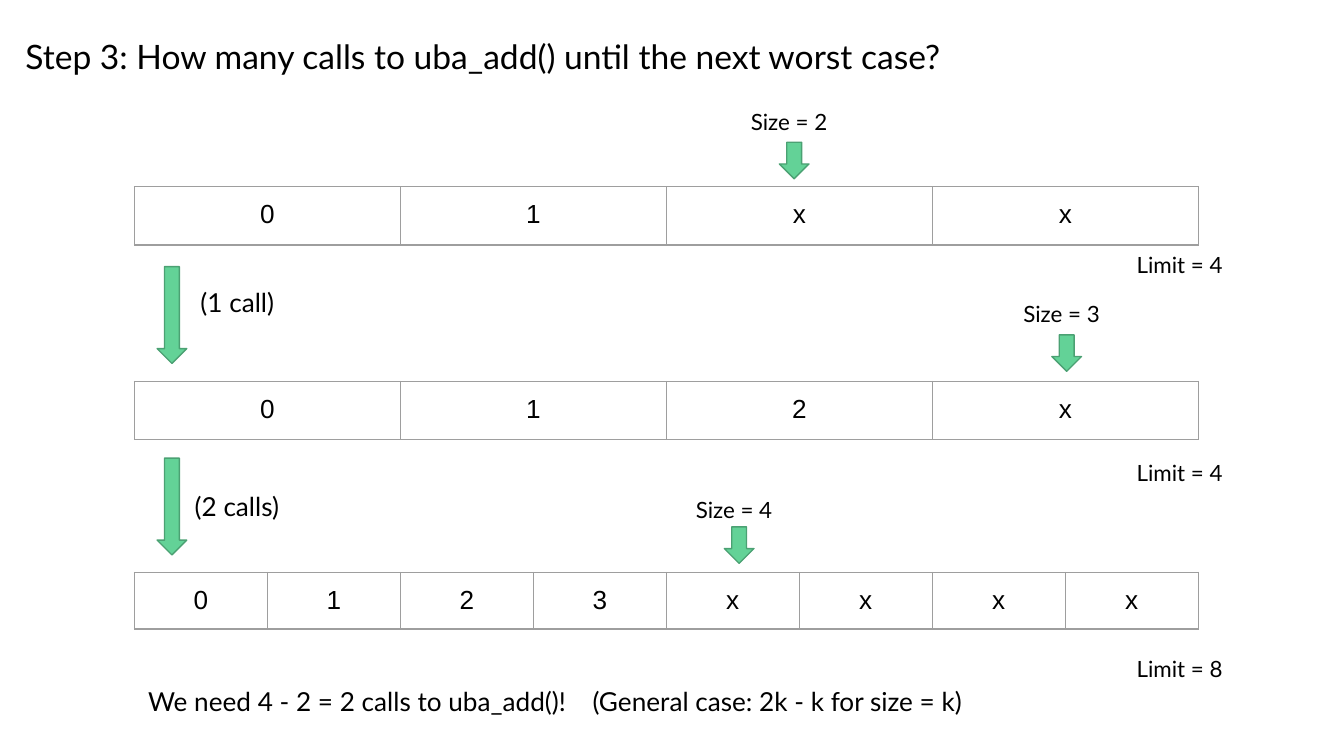
from dataclasses import dataclass

import lxml.etree
import pptx
import pptx.dml.color
import pptx.enum.shapes
import pptx.enum.text
import pptx.oxml.ns
import pptx.util
from pptx.util import Cm

COLORS = {
    "text": "000000",
    "cell_border": "9E9E9E",
    "arrow": "63D297",
    "arrow_edge": "4BA173",
    "background": "FFFFFF",
}
ARRAY_LEFT, ARRAY_WIDTH = 2.54, 20.11
FRAME_SIDE = 8.33
ARROW_WIDTH = 0.56
INSET = 0.25


@dataclass
class Array:
    """One state of the array; all lengths here and below are centimetres."""
    top: float
    height: float
    values: str
    limit: int
    limit_top: float


@dataclass
class SizePointer:
    size: int
    left: float
    top: float
    arrow_top: float


@dataclass
class Step:
    calls: str
    left: float
    top: float
    arrow_top: float


ARRAYS = [
    Array(3.53, 1.1, "01xx", 4, 4.5),
    Array(7.21, 1.1, "012x", 4, 8.43),
    Array(10.82, 1.07, "0123xxxx", 8, 12.13),
]
POINTERS = [
    SizePointer(2, 13.94, 1.79, 2.69),
    SizePointer(3, 19.09, 5.43, 6.33),
    SizePointer(4, 12.9, 9.12, 9.96),
]
STEPS = [
    Step("(1 call)", 3.54, 5.16, 5.04),
    Step("(2 calls)", 3.43, 9.02, 8.66),
]


def color(name: str) -> pptx.dml.color.RGBColor:
    return pptx.dml.color.RGBColor.from_string(COLORS[name])


def add_span(para, text: str, size: float, font: str = "Lato") -> None:
    span = para.add_run()
    span.text = text
    span.font.name = font
    span.font.size = pptx.util.Pt(size)
    span.font.color.rgb = color("text")


def set_frame(frame) -> None:
    frame.word_wrap = True
    frame.auto_size = pptx.enum.text.MSO_AUTO_SIZE.NONE
    frame.vertical_anchor = pptx.enum.text.MSO_ANCHOR.TOP
    frame.margin_left = frame.margin_right = Cm(INSET)
    frame.margin_top = frame.margin_bottom = Cm(INSET)


def add_label(page, text: str, left: float, top: float, width: float, size: float):
    box = page.shapes.add_textbox(Cm(left), Cm(top), Cm(width), Cm(1.1))
    set_frame(box.text_frame)
    para = box.text_frame.paragraphs[0]
    add_span(para, text, size)
    return para


def add_arrow(page, left: float, top: float, height: float) -> None:
    arrow = page.shapes.add_shape(
        pptx.enum.shapes.MSO_SHAPE.DOWN_ARROW,
        Cm(left), Cm(top), Cm(ARROW_WIDTH), Cm(height))
    arrow.shadow.inherit = False
    arrow.fill.solid()
    arrow.fill.fore_color.rgb = color("arrow")
    arrow.line.color.rgb = color("arrow_edge")
    arrow.line.width = pptx.util.Pt(0.75)


def add_borders(cell) -> None:
    qn = pptx.oxml.ns.qn
    properties = cell._tc.get_or_add_tcPr()
    for side in ("a:lnL", "a:lnR", "a:lnT", "a:lnB"):
        line = lxml.etree.SubElement(properties, qn(side), w=str(pptx.util.Pt(0.75)))
        fill = lxml.etree.SubElement(line, qn("a:solidFill"))
        lxml.etree.SubElement(fill, qn("a:srgbClr"), val=COLORS["cell_border"])


def add_array(page, array: Array) -> None:
    count = len(array.values)
    frame = page.shapes.add_table(
        1, count, Cm(ARRAY_LEFT), Cm(array.top), Cm(ARRAY_WIDTH), Cm(array.height))
    table = frame.table
    table.first_row = table.horz_banding = False
    table.rows[0].height = Cm(array.height)
    for column, cell, value in zip(table.columns, table.iter_cells(), array.values):
        column.width = Cm(ARRAY_WIDTH / count)
        cell.margin_left = cell.margin_right = Cm(INSET)
        cell.margin_top = cell.margin_bottom = Cm(INSET)
        add_borders(cell)
        cell.fill.background()
        para = cell.text_frame.paragraphs[0]
        para.alignment = pptx.enum.text.PP_ALIGN.CENTER
        add_span(para, value, 14, "Arial")
    frame.width = frame.height = Cm(FRAME_SIDE)
    add_label(page, f"Limit = {array.limit}", 21.23, array.limit_top, 2.2, 12)


def add_pointer(page, pointer: SizePointer) -> None:
    add_label(page, f"Size = {pointer.size}", pointer.left, pointer.top, 2.2, 12)
    add_arrow(page, pointer.left + 0.79, pointer.arrow_top, 0.69)


def add_step(page, step: Step) -> None:
    add_arrow(page, 2.97, step.arrow_top, 1.83)
    add_label(page, step.calls, step.left, step.top, 3.96, 14)


def add_title(page, text: str) -> None:
    title = page.shapes.title
    title.left, title.top, title.width, title.height = Cm(0.23), Cm(0.43), Cm(19.43), Cm(1.57)
    set_frame(title.text_frame)
    para = title.text_frame.paragraphs[0]
    para.alignment = pptx.enum.text.PP_ALIGN.LEFT
    add_span(para, text, 18)


def add_conclusion(page) -> None:
    """Set the answer and the general case on one line, parted by a tab stop."""
    para = add_label(page, "We need 4 - 2 = 2 calls to uba_add()!", 2.55, 12.7, 16.54, 14)
    add_span(para, "\t(General case: 2k - k for size = k)", 14)
    qn = pptx.oxml.ns.qn
    stops = lxml.etree.SubElement(para._p.get_or_add_pPr(), qn("a:tabLst"))
    lxml.etree.SubElement(stops, qn("a:tab"), pos=str(Cm(8.4)), algn="l")


def main() -> None:
    deck = pptx.Presentation()
    deck.slide_width, deck.slide_height = Cm(25.4), Cm(14.29)
    page = deck.slides.add_slide(deck.slide_layouts.get_by_name("Title Only"))
    page.background.fill.solid()
    page.background.fill.fore_color.rgb = color("background")
    add_title(page, "Step 3: How many calls to uba_add() until the next worst case?")
    for array in ARRAYS:
        add_array(page, array)
    for pointer in POINTERS:
        add_pointer(page, pointer)
    for step in STEPS:
        add_step(page, step)
    add_conclusion(page)
    deck.save("out.pptx")


if __name__ == "__main__":
    main()
